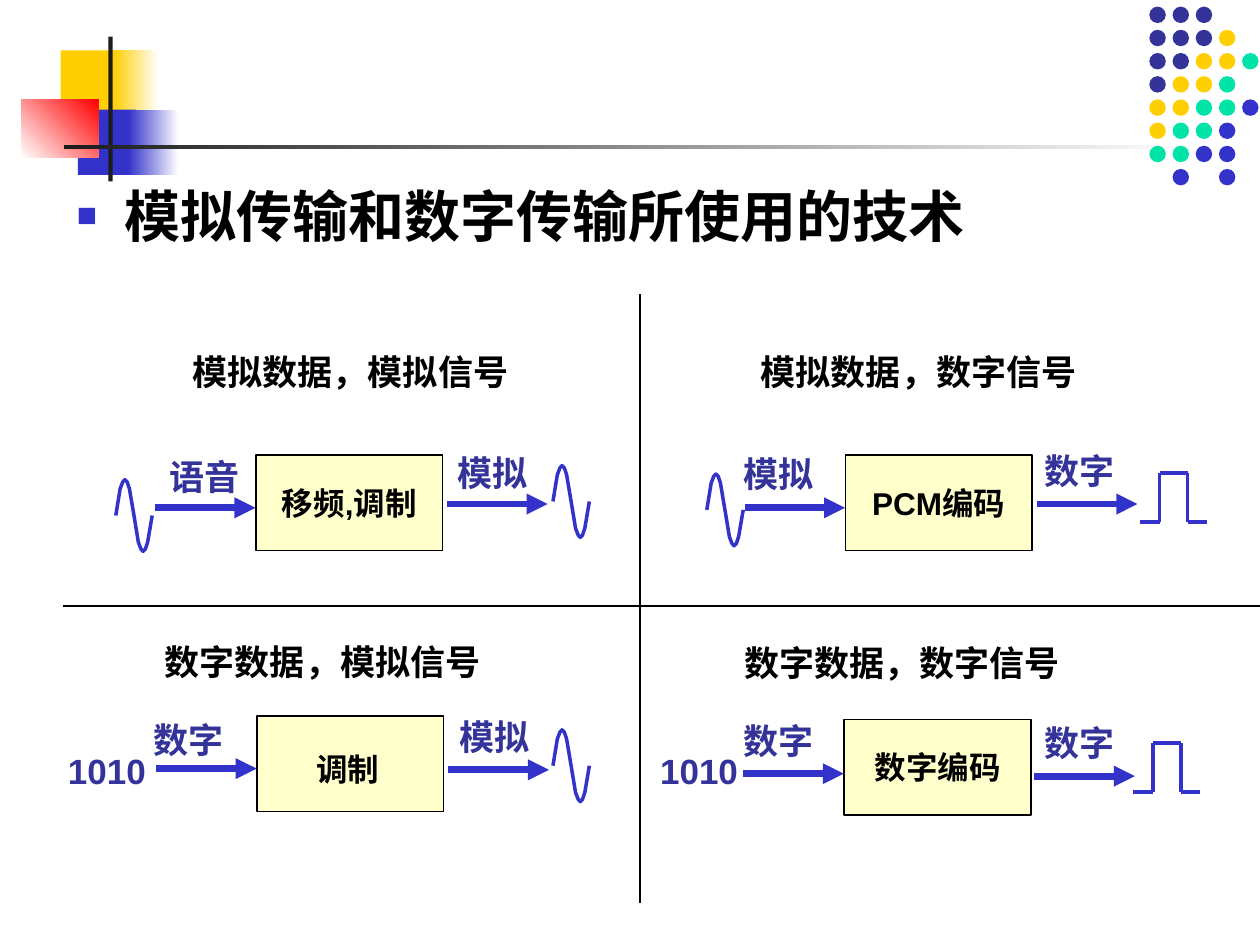
"""Slide comparing the techniques of analog and digital transmission."""
from itertools import pairwise

from lxml import etree
from pptx import Presentation
from pptx.dml import color
from pptx.enum import shapes, text
from pptx.oxml import ns
from pptx.util import Pt

BLACK = color.RGBColor(0x00, 0x00, 0x00)
WHITE = color.RGBColor(0xFF, 0xFF, 0xFF)
CHARCOAL = color.RGBColor(0x1C, 0x1C, 0x1C)
YELLOW = color.RGBColor(0xFF, 0xCF, 0x01)
CREAM = color.RGBColor(0xFF, 0xFF, 0xCC)
RED = color.RGBColor(0xFF, 0x00, 0x00)
BLUE = color.RGBColor(0x33, 0x33, 0xCC)
INDIGO = color.RGBColor(0x33, 0x33, 0x99)
GREEN = color.RGBColor(0x00, 0xE4, 0xA8)

DOT_ROWS = ["PPP", "PPPY", "PPYYG", "PYYG", "YYGGB", "YGGB", "GGBB", " B B"]
DOT_COLORS = {"P": INDIGO, "Y": YELLOW, "G": GREEN, "B": BLUE}
DOT_PITCH = 13.25

HALF_WAVE = [(0, 0), (2.5, -15.3), (4, -19.2), (5.2, -20.5),
             (6.5, -19.2), (7.8, -15.3), (10.4, 0)]
WAVE = HALF_WAVE + [(x + 10.4, -y) for x, y in HALF_WAVE[1:]]
PULSE = [(0, 0), (11.3, 0), (11.3, -28), (27.3, -28), (27.3, 0), (38.5, 0)]
ARROW_LENGTH = 57.4

QUADRANTS = [
    (("模拟数据，模拟信号", 103, 196.6), ("语音", 90, 257), (88.6, 290.2),
     ("移频,调制", 146.2, 259.9), ("模拟", 254.2, 254.2), (255.6, 288)),
    (("模拟数据，数字信号", 427.7, 196.6), ("模拟", 417.6, 254.9), (425.5, 290.2),
     ("PCM编码", 483.1, 259.9), ("数字", 589.7, 253.4), (592.6, 288)),
    (("数字数据，模拟信号", 87.1, 362.2), ("数字", 80.6, 406.8), (89.3, 439.2),
     ("", 146.9, 409), ("模拟", 255.6, 405.4), (256.3, 439.9)),
    (("数字数据，数字信号", 418.3, 362.9), ("数字", 417.6, 407.5), (424.8, 442.1),
     ("数字编码", 482.4, 411.1), ("数字", 589.7, 409), (591.1, 443.5)),
]


class Board:
    """Holds the style and the current slide."""

    font = "Arial"

    def __init__(self, slide):
        self.slide = slide
        self.shapes = slide.shapes

    def wording(self, paragraph, words, size, ink, font=None):
        paragraph.text = words
        paragraph.font.size = Pt(size)
        paragraph.font.bold = True
        paragraph.font.name = font or self.font
        paragraph.font.color.rgb = ink

    def block(self, left, top, width, height, fill, fade=None, angle=0,
              kind=shapes.MSO_SHAPE.RECTANGLE):
        block = self.shapes.add_shape(kind, Pt(left), Pt(top), Pt(width), Pt(height))
        block.shadow.inherit = False
        block.line.fill.background()
        if fade is None:
            block.fill.solid()
            block.fill.fore_color.rgb = fill
        else:
            block.fill.gradient()
            block.fill.gradient_angle = angle
            for stop, place, ink in zip(block.fill.gradient_stops, (0, 1), (fill, fade)):
                stop.position = place
                stop.color.rgb = ink
        return block

    def heading(self, words, left, top, width, height):
        self.shapes.title.element.getparent().remove(self.shapes.title.element)
        body = self.slide.placeholders[1]
        body.left, body.top, body.width, body.height = map(Pt, (left, top, width, height))
        paragraph = body.text_frame.paragraphs[0]
        paragraph.space_before = Pt(0)
        properties = paragraph._p.get_or_add_pPr()
        properties.set("marL", str(Pt(27)))
        properties.set("indent", str(Pt(-27)))
        tint = etree.SubElement(properties, ns.qn("a:buClr"))
        etree.SubElement(tint, ns.qn("a:srgbClr"), val=str(BLUE))
        etree.SubElement(properties, ns.qn("a:buSzPct"), val="60000")
        etree.SubElement(properties, ns.qn("a:buFont"), typeface=self.font)
        etree.SubElement(properties, ns.qn("a:buChar"), char="■")
        self.wording(paragraph, words, 32, BLACK, "Cabin")

    def label(self, words, left, top, width=54.7, size=20, ink=INDIGO):
        label = self.shapes.add_textbox(Pt(left), Pt(top), Pt(width), Pt(31))
        label.text_frame.word_wrap = False
        label.text_frame.auto_size = text.MSO_AUTO_SIZE.SHAPE_TO_FIT_TEXT
        self.wording(label.text_frame.paragraphs[0], words, size, ink)

    def node(self, words, left, top):
        node = self.block(left, top, 106.6, 54.7, CREAM)
        node.line.color.rgb = BLACK
        node.line.width = Pt(1)
        if words:
            node.text_frame.word_wrap = False
            node.text_frame.vertical_anchor = text.MSO_ANCHOR.MIDDLE
            paragraph = node.text_frame.paragraphs[0]
            paragraph.alignment = text.PP_ALIGN.CENTER
            self.wording(paragraph, words, 18, BLACK)

    def line(self, start, end, ink=BLACK, width=1, arrow=False):
        line = self.shapes.add_connector(
            shapes.MSO_CONNECTOR.STRAIGHT, *map(Pt, (*start, *end)))
        line.line.color.rgb = ink
        line.line.width = Pt(width)
        properties = line.element.spPr
        if arrow:
            etree.SubElement(properties.get_or_add_ln(), ns.qn("a:tailEnd"), type="triangle")
        etree.SubElement(properties, ns.qn("a:effectLst"))

    def arrow(self, left, top):
        self.line((left, top), (left + ARROW_LENGTH, top), BLUE, 4, arrow=True)

    def wave(self, left, middle):
        points = [(Pt(left + x), Pt(middle + y)) for x, y in WAVE]
        builder = self.shapes.build_freeform(*points[0])
        builder.add_line_segments(points[1:], close=False)
        wave = builder.convert_to_shape()
        wave.shadow.inherit = False
        wave.fill.background()
        wave.line.color.rgb = BLUE
        wave.line.width = Pt(2)

    def pulse(self, left, base, width):
        points = [(left + x, base + y) for x, y in PULSE]
        for start, end in pairwise(points):
            self.line(start, end, BLUE, width)

    def ornament(self):
        self.block(34.6, 28.8, 34.6, 37.4, YELLOW)
        self.block(64.8, 28.8, 25.9, 37.4, YELLOW, WHITE)
        self.block(44.6, 62.6, 33.1, 37.4, BLUE)
        self.block(73.4, 62.6, 28.8, 37.4, BLUE, WHITE)
        self.block(12.2, 56.9, 43.9, 33.1, WHITE, RED, 45)
        self.block(61.9, 20.9, 2.5, 82.8, CHARCOAL)
        self.block(36.7, 82.8, 648, 2.2, CHARCOAL, WHITE)
        for row, dots in enumerate(DOT_ROWS):
            for column, dot in enumerate(dots):
                if dot in DOT_COLORS:
                    self.block(656.8 + column * DOT_PITCH, 3.8 + row * DOT_PITCH, 9.4, 9.4,
                               DOT_COLORS[dot], kind=shapes.MSO_SHAPE.OVAL)

    def quadrant(self, title, source, inlet, process, result, outlet):
        self.label(*title, width=195, ink=BLACK)
        self.label(*source)
        self.node(*process)
        self.arrow(*inlet)
        self.label(*result)
        self.arrow(*outlet)


def main():
    deck = Presentation()
    deck.slide_width, deck.slide_height = Pt(720), Pt(540)
    board = Board(deck.slides.add_slide(deck.slide_layouts[1]))
    board.ornament()
    board.heading("模拟传输和数字传输所使用的技术", 36.7, 100, 589.7, 60.5)
    board.line((365.6, 168), (365.6, 516))
    board.line((36, 346.2), (720, 346.2))
    for quadrant in QUADRANTS:
        board.quadrant(*quadrant)
    for left, middle in [(66.2, 294.6), (316, 286.6), (403.9, 291.4), (316, 437.6)]:
        board.wave(left, middle)
    board.pulse(651.4, 298.3, 2)
    board.pulse(647.5, 452.8, 2.25)
    for left in (31.7, 370.1):
        board.label("1010", left, 424.8, width=59)
    board.label("调制", 173.5, 424.8, width=51.1, size=18, ink=BLACK)
    deck.save("out.pptx")


if __name__ == "__main__":
    main()
